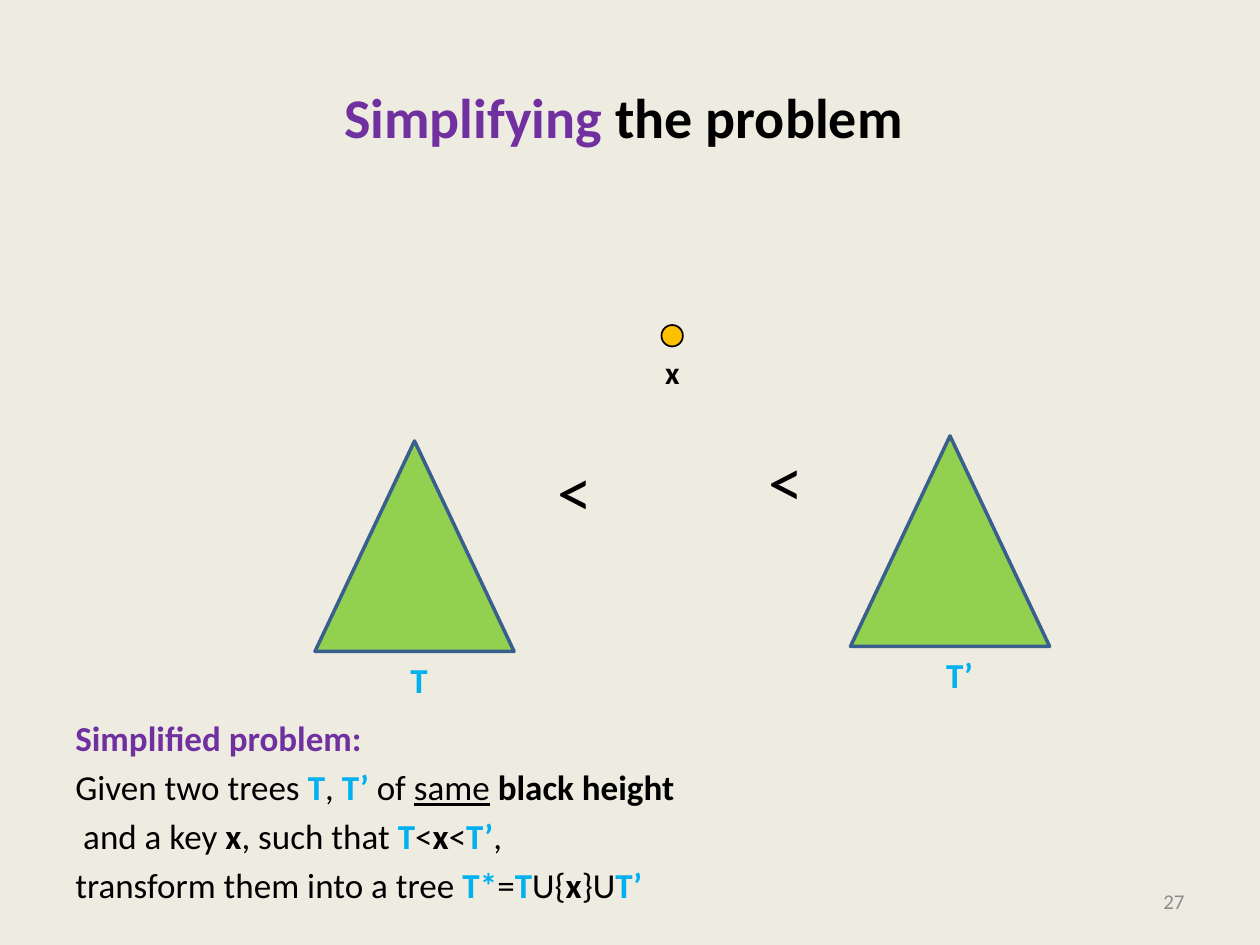
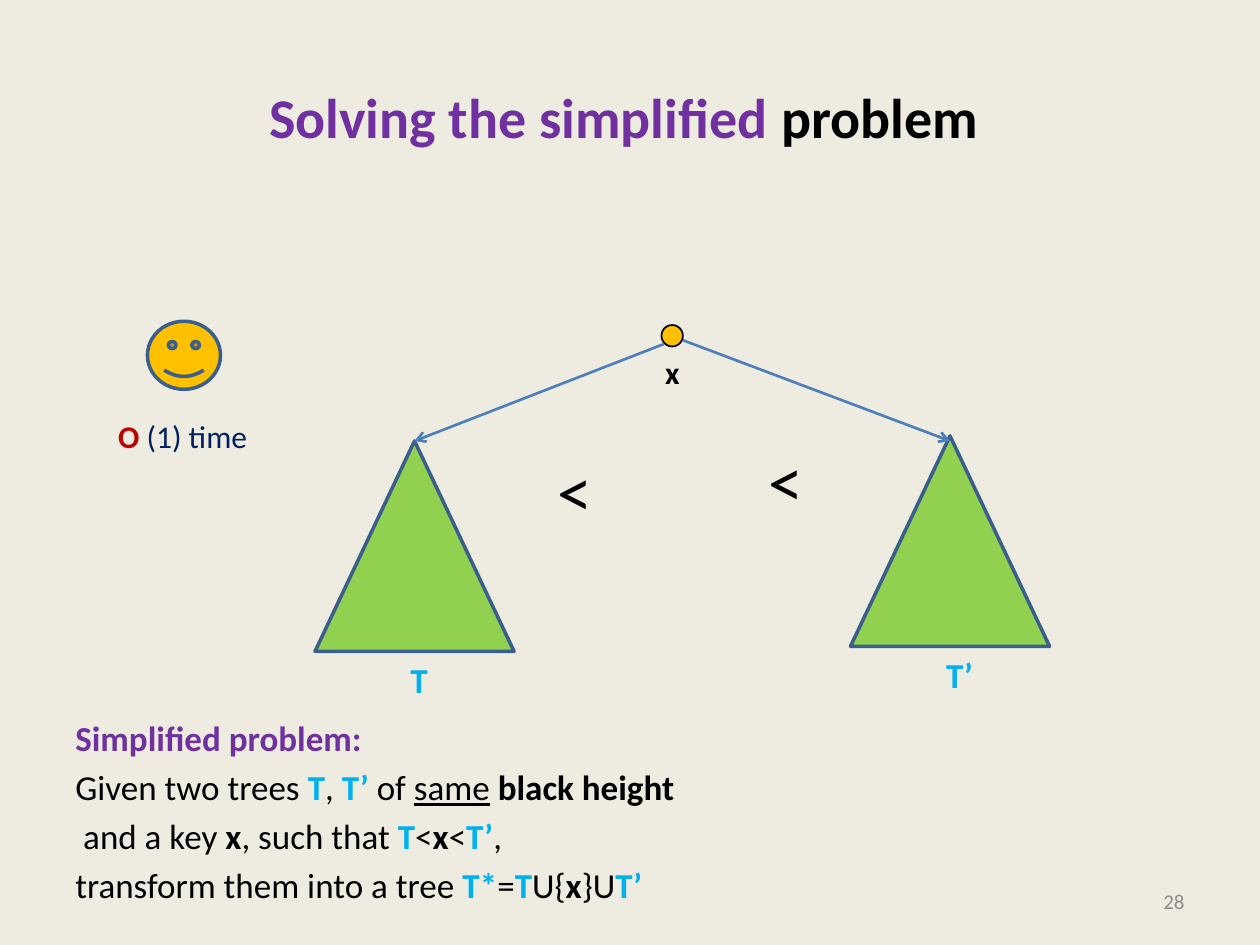
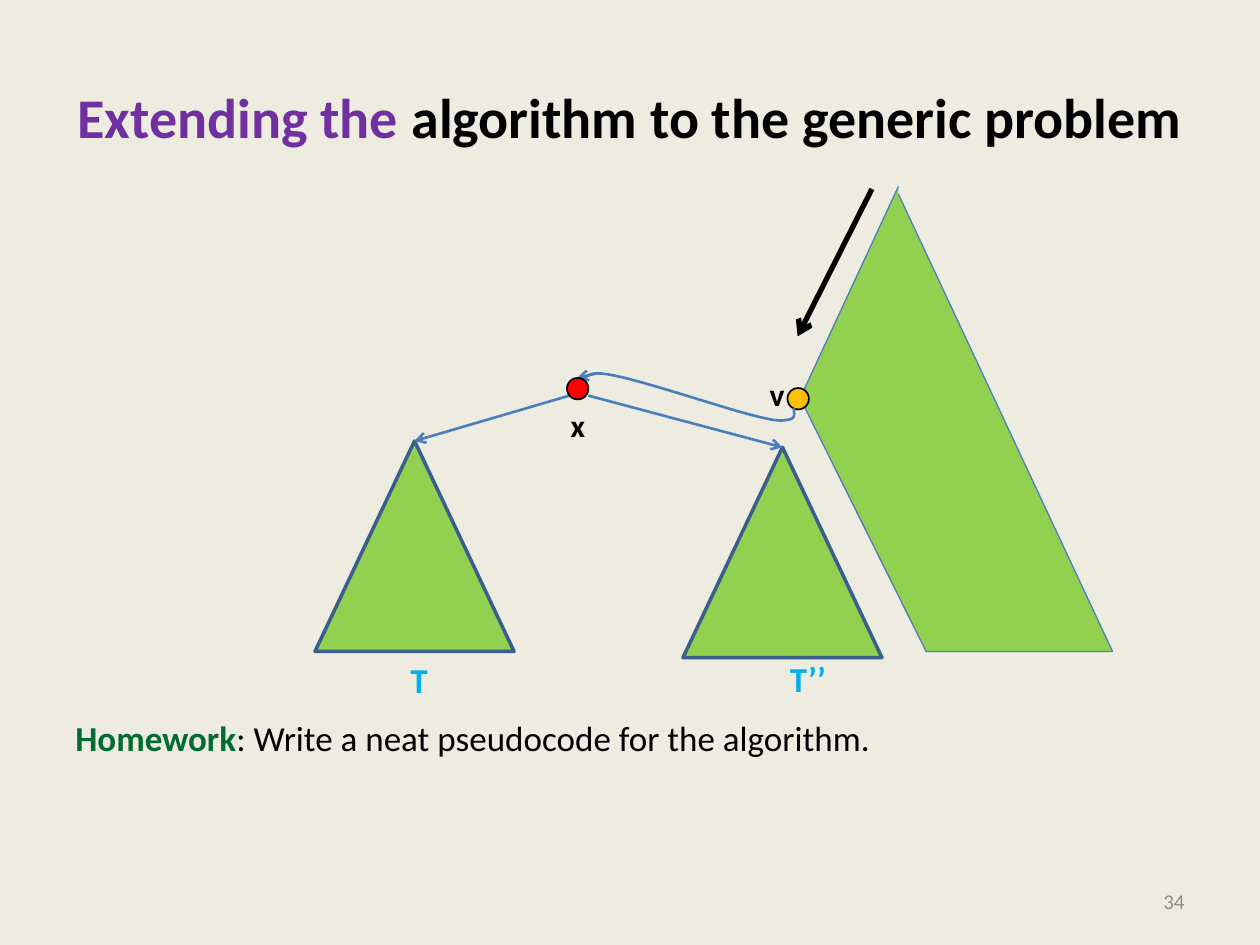
from lxml import etree
from pptx import Presentation
from pptx.dml.color import RGBColor
from pptx.enum import shapes, text
from pptx.oxml import ns
from pptx.util import Inches, Pt

FONT = "Calibri"
PAPER, GREEN, EDGE, BLUE = "EEECE1", "92D050", "3A5F8C", "4B7EBC"
BLACK, GOLD, RED = "000000", "FFC000", "FF0000"

# style: colour, bold, underlined
STYLES = {
    "plain": (BLACK, False, False),
    "bold": (BLACK, True, False),
    "under": (BLACK, False, True),
    "head": ("7030A0", True, False),
    "tree": ("00B0F0", True, False),
    "task": ("006C31", True, False),
    "cost": ("C00000", True, False),
    "time": ("002060", False, False),
    "page": ("8C8C8C", False, False),
}

PROBLEM = [
    [("Simplified problem:", "head")],
    [("Given two trees ", "plain"), ("T", "tree"), (", ", "plain"), ("T’", "tree"),
     (" of ", "plain"), ("same", "under"), (" ", "plain"), ("black height", "bold")],
    [(" and a key ", "plain"), ("x", "bold"), (", such that ", "plain"), ("T", "tree"),
     ("<", "plain"), ("x", "bold"), ("<", "plain"), ("T’", "tree"), (",", "plain")],
    [("transform them into a tree ", "plain"), ("T*", "tree"), ("=", "plain"),
     ("T", "tree"), ("U{", "plain"), ("x", "bold"), ("}U", "plain"), ("T’", "tree")],
]
HOMEWORK = [[("Homework", "task"),
             (": Write a neat pseudocode for the algorithm.", "plain")]]

SLIDES = [
    {"title": [("Simplifying", "head"), (" the problem ", "bold")],
     "body": PROBLEM, "page": "27"},
    {"title": [("Solving the simplified", "head"), (" problem ", "bold")],
     "body": PROBLEM, "page": "28"},
    {"title": [("Extending the ", "head"), ("algorithm to the generic problem", "bold")],
     "body": HOMEWORK, "page": "34"},
]

TREE_W, TREE_H, DOT = 1.58, 1.67, 0.17
LEFT_TOP = (3.29, 3.5)
REST = [(7.13, 1.48), (6.35, 3.16), (7.35, 5.17), (8.83, 5.17), (7.13, 1.54)]
LINK = [(6.3, 3.24),
        (6.3, 3.28), (6.32, 3.32), (6.26, 3.33),
        (6.2, 3.34), (6.18, 3.35), (5.95, 3.29),
        (5.72, 3.23), (5.09, 3.02), (4.87, 2.98),
        (4.64, 2.93), (4.66, 3.01), (4.62, 3.01)]


def rgb(hue):
    return RGBColor.from_string(hue)


def write(slide, box, paras, size, align="LEFT", anchor="TOP", wrap=True):
    frame = slide.shapes.add_textbox(*map(Inches, box)).text_frame
    frame.word_wrap = wrap
    frame.vertical_anchor = getattr(text.MSO_ANCHOR, anchor)
    for i, runs in enumerate(paras):
        para = frame.paragraphs[0] if i == 0 else frame.add_paragraph()
        para.alignment = getattr(text.PP_ALIGN, align)
        para.space_before = Pt(4 if i else 0)
        for words, style in runs:
            run = para.add_run()
            run.text = words
            hue, bold, under = STYLES[style]
            font = run.font
            font.name, font.size = FONT, Pt(size)
            font.bold, font.underline = bold, under
            font.color.rgb = rgb(hue)


def label(slide, box, words, style, size):
    write(slide, box, [[(words, style)]], size, wrap=False)


def paint(shape, fill, edge, width):
    shape.shadow.inherit = False
    if fill:
        shape.fill.solid()
        shape.fill.fore_color.rgb = rgb(fill)
    else:
        shape.fill.background()
    shape.line.color.rgb = rgb(edge)
    shape.line.width = Pt(width)


def solid(slide, kind, box, fill, edge, width):
    kind = getattr(shapes.MSO_SHAPE, kind)
    paint(slide.shapes.add_shape(kind, *map(Inches, box)), fill, edge, width)


def tree(slide, apex):
    x, y = apex
    solid(slide, "ISOSCELES_TRIANGLE", (x - TREE_W / 2, y, TREE_W, TREE_H),
          GREEN, EDGE, 2)


def dot(slide, x, y, fill):
    solid(slide, "OVAL", (x, y, DOT, DOT), fill, BLACK, 1)


def outline(slide, points, fill, width):
    """Draw an open outline through the points."""
    spots = [(Inches(x), Inches(y)) for x, y in points]
    pen = slide.shapes.build_freeform(*spots[0])
    pen.add_line_segments(spots[1:], close=False)
    paint(pen.convert_to_shape(), fill, BLUE, width)


def curve(knots, steps=12):
    """Sample a chain of cubic Bezier arcs."""
    points = [knots[0]]
    for i in range(0, len(knots) - 1, 3):
        arc = knots[i:i + 4]
        for n in range(1, steps + 1):
            t = n / steps
            parts = ((1 - t) ** 3, 3 * t * (1 - t) ** 2, 3 * t * t * (1 - t), t ** 3)
            points.append(tuple(sum(w * p[k] for w, p in zip(parts, arc))
                                for k in (0, 1)))
    return points


def arrow(slide, start, end, hue=BLUE, width=1.5):
    line = slide.shapes.add_connector(shapes.MSO_CONNECTOR.STRAIGHT,
                                      *map(Inches, start + end))
    line.line.color.rgb = rgb(hue)
    line.line.width = Pt(width)
    props = line.element.spPr
    etree.SubElement(props.get_or_add_ln(), ns.qn("a:tailEnd"), type="arrow")
    etree.SubElement(props, ns.qn("a:effectLst"))


def left_tree(slide):
    tree(slide, LEFT_TOP)
    label(slide, (3.16, 5.18, 0.34, 0.44), "T", "tree", 20)


def pair(slide):
    """Two trees of the same height with the key x between them."""
    left_tree(slide)
    tree(slide, (7.54, 3.46))
    label(slide, (7.41, 5.14, 0.42, 0.44), "T’", "tree", 20)
    dot(slide, 5.25, 2.58, GOLD)
    for x, y in ((4.33, 3.5), (6, 3.42)):
        label(slide, (x, y, 0.48, 0.77), "<", "plain", 40)
    label(slide, (5.18, 2.75, 0.32, 0.4), "x", "bold", 18)


def joined(slide):
    pair(slide)
    solid(slide, "SMILEY_FACE", (1.17, 2.55, 0.58, 0.54), GOLD, EDGE, 2)
    write(slide, (0.84, 3.26, 1.24, 0.4), [[("O ", "cost"), ("(1) time", "time")]],
          18, wrap=False)
    arrow(slide, (5.27, 2.73), LEFT_TOP)
    arrow(slide, (5.42, 2.7), (7.54, 3.5))


def generic(slide):
    left_tree(slide)
    label(slide, (4.43, 3.17, 0.32, 0.4), "x", "bold", 18)
    outline(slide, REST, GREEN, 0.75)
    tree(slide, (6.21, 3.55))
    dot(slide, 6.25, 3.08, GOLD)
    arrow(slide, (6.92, 1.5), (6.33, 2.67), BLACK, 3)
    arrow(slide, (4.67, 3.14), (6.21, 3.55))
    arrow(slide, (4.52, 3.14), LEFT_TOP)
    outline(slide, curve(LINK), None, 1.5)
    arrow(slide, (4.75, 2.96), (4.58, 3))
    label(slide, (6.17, 5.17, 0.49, 0.44), "T’’", "tree", 20)
    label(slide, (6.01, 2.93, 0.32, 0.4), "v", "bold", 18)
    dot(slide, 4.5, 3, RED)


def main():
    deck = Presentation()
    deck.slide_width, deck.slide_height = Inches(10), Inches(7.5)
    back = deck.slide_master.background.fill
    back.solid()
    back.fore_color.rgb = rgb(PAPER)
    for data, draw in zip(SLIDES, (pair, joined, generic)):
        slide = deck.slides.add_slide(deck.slide_layouts[6])
        write(slide, (0.5, 0.3, 9, 1.25), [data["title"]], 32, "CENTER", "MIDDLE")
        write(slide, (0.5, 5.64, 9, 1.44), data["body"], 20)
        write(slide, (7.17, 6.95, 2.33, 0.4), [[(data["page"], "page")]], 12,
              "RIGHT", "MIDDLE")
        draw(slide)
    deck.save("out.pptx")


if __name__ == "__main__":
    main()
